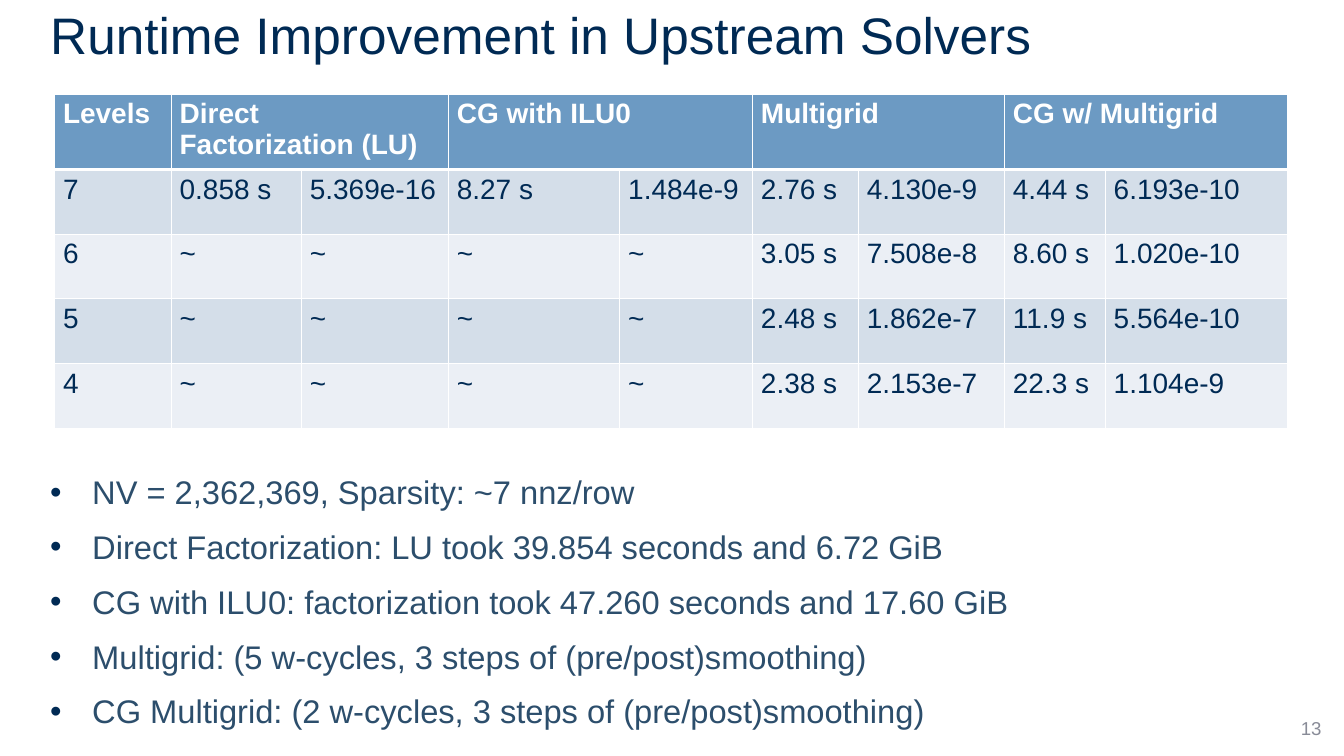
import pptx
import pptx.dml.color
import pptx.enum.text
import pptx.oxml
import pptx.oxml.ns
import pptx.util

Pt = pptx.util.Pt
ALIGN = pptx.enum.text.PP_ALIGN
NAVY, SLATE, GREY = "002A54", "2C4E6C", "888B97"
WHITE, HEADER_BLUE = "FFFFFF", "6C9AC3"
BANDS = ["D4DEE9", "EBEFF5"]


def color(hex_string):
    return pptx.dml.color.RGBColor.from_string(hex_string)


def element(xml):
    """Parse one DrawingML element written with the a: prefix."""
    head, rest = xml.split(" ", 1)
    return pptx.oxml.parse_xml(f"{head} {pptx.oxml.ns.nsdecls('a')} {rest}")


class SolverSlide:
    def __init__(self, presentation, font="Arial"):
        self.font = font
        self.slide = presentation.slides.add_slide(presentation.slide_layouts[6])

    def style(self, paragraph, size, hex_string, bold=False):
        for run in paragraph.runs:
            run.font.name = self.font
            run.font.size = Pt(size)
            run.font.bold = bold
            run.font.color.rgb = color(hex_string)

    def text(self, box, lines, size, hex_string, top_inset=3.6, bottom_inset=3.6,
             align=ALIGN.LEFT):
        frame = self.slide.shapes.add_textbox(*map(Pt, box)).text_frame
        frame.word_wrap = True
        frame.vertical_anchor = pptx.enum.text.MSO_ANCHOR.MIDDLE
        frame.margin_top, frame.margin_bottom = Pt(top_inset), Pt(bottom_inset)
        frame.text = "\n".join(lines)
        for paragraph in frame.paragraphs:
            paragraph.alignment = align
            self.style(paragraph, size, hex_string)
        return frame

    def bullets(self, box, lines, size, hex_string, top_inset, gap, indent):
        frame = self.text(box, lines, size, hex_string, top_inset)
        for number, paragraph in enumerate(frame.paragraphs):
            paragraph.line_spacing = 1.04
            paragraph.space_before = Pt(gap if number else 0)
            properties = paragraph._p.get_or_add_pPr()
            properties.set("marL", str(Pt(indent)))
            properties.set("indent", str(Pt(-indent)))
            properties.append(element(f'<a:buClr ><a:srgbClr val="{NAVY}"/></a:buClr>'))
            properties.append(element('<a:buFont typeface="Arial"/>'))
            properties.append(element('<a:buChar char="•"/>'))

    def cell(self, cell, value, fill, hex_string, bold, top, bottom):
        properties = cell._tc.get_or_add_tcPr()
        for side, width in zip("LRTB", (1, 1, top, bottom)):
            properties.append(element(
                f'<a:ln{side} w="{Pt(width)}"><a:solidFill><a:srgbClr val="{WHITE}"/>'
                f'</a:solidFill></a:ln{side}>'))
        cell.fill.solid()
        cell.fill.fore_color.rgb = color(fill)
        if value:
            cell.text_frame.text = value
            self.style(cell.text_frame.paragraphs[0], 24, hex_string, bold)

    def table(self, left, top, widths, heights, rows):
        table = self.slide.shapes.add_table(
            len(rows), len(widths), Pt(left), Pt(top),
            Pt(sum(widths)), Pt(sum(heights))).table
        for column, width in zip(table.columns, widths):
            column.width = Pt(width)
        for row, height in zip(table.rows, heights):
            row.height = Pt(height)
        for r, values in enumerate(rows):
            header = r == 0
            for c, value in enumerate(values):
                self.cell(table.cell(r, c), value,
                          HEADER_BLUE if header else BANDS[(r - 1) % 2],
                          WHITE if header else NAVY, header,
                          top=3 if r == 1 else 1, bottom=3 if header else 1)
        # Each solver heading covers its time and residual columns
        for c in range(1, len(widths), 2):
            table.cell(0, c).merge(table.cell(0, c + 1))


def main():
    presentation = pptx.Presentation()
    presentation.slide_width, presentation.slide_height = Pt(1152), Pt(648)
    solvers = SolverSlide(presentation)

    # Title
    solvers.text((36, -6.5, 904.3, 72), ["Runtime Improvement in Upstream Solvers"],
                 44, NAVY, top_inset=0, bottom_inset=0)

    # Page number
    solvers.text((871.2, 607, 268.6, 34.6), ["13"], 16, GREY, align=ALIGN.RIGHT)

    # Notes on the setup of each solver
    solvers.bullets((36, 371.5, 1061.3, 270), [
        "NV = 2,362,369, Sparsity: ~7 nnz/row",
        "Direct Factorization: LU took 39.854 seconds and 6.72 GiB",
        "CG with ILU0: factorization took 47.260 seconds and 17.60 GiB",
        "Multigrid: (5 w-cycles, 3 steps of (pre/post)smoothing)",
        "CG Multigrid: (2 w-cycles, 3 steps of (pre/post)smoothing)",
    ], 28, SLATE, top_inset=20, gap=12, indent=36)

    # Time and residual per solver and number of levels
    not_run = ["~"] * 4
    solvers.table(
        46.8, 80.6,
        [100, 111.6, 126, 146.9, 113.8, 90.7, 125.3, 86.4, 156.2],
        [62.6] + [55.4] * 4,
        [
            ["Levels", "Direct Factorization (LU)", "", "CG with ILU0", "",
             "Multigrid", "", "CG w/ Multigrid", ""],
            ["7", "0.858 s", "5.369e-16", "8.27 s", "1.484e-9",
             "2.76 s", "4.130e-9", "4.44 s", "6.193e-10"],
            ["6", *not_run, "3.05 s", "7.508e-8", "8.60 s", "1.020e-10"],
            ["5", *not_run, "2.48 s", "1.862e-7", "11.9 s", "5.564e-10"],
            ["4", *not_run, "2.38 s", "2.153e-7", "22.3 s", "1.104e-9"],
        ])

    presentation.save("out.pptx")


if __name__ == "__main__":
    main()
